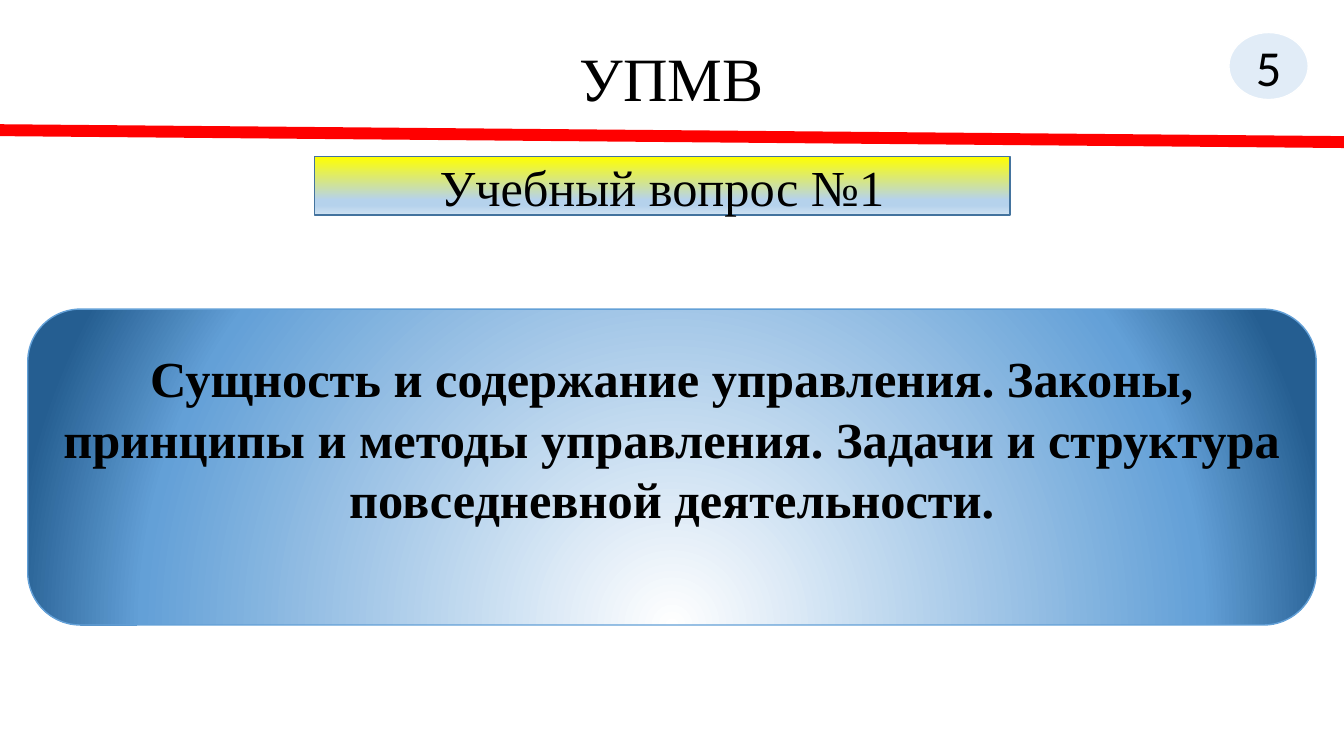
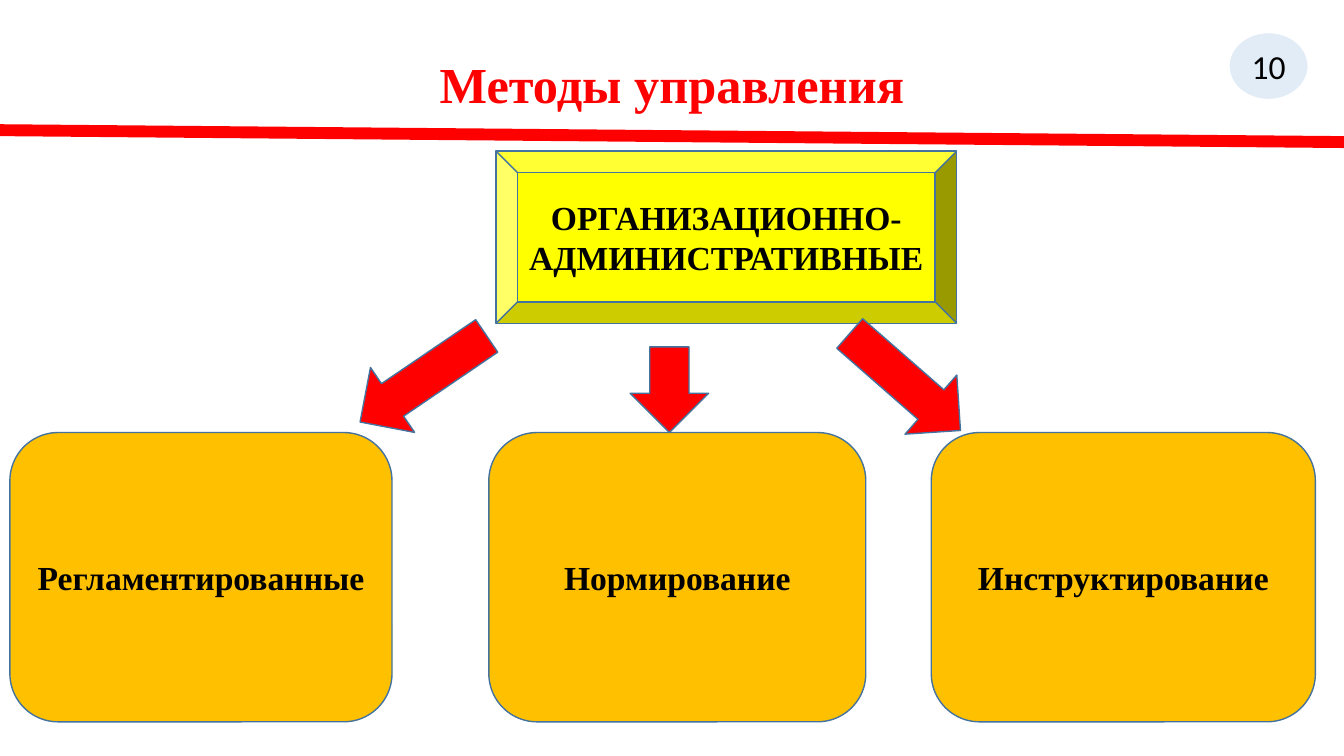
from lxml import etree
from pptx import Presentation
from pptx.dml.color import RGBColor
from pptx.enum import shapes, text
from pptx.oxml import ns
from pptx.util import Cm, Pt

BLACK = RGBColor(0x00, 0x00, 0x00)
WHITE = RGBColor(0xFF, 0xFF, 0xFF)
RED = RGBColor(0xFF, 0x00, 0x00)
YELLOW = RGBColor(0xFF, 0xFF, 0x00)
AMBER = RGBColor(0xFF, 0xC0, 0x00)
BLUE = RGBColor(0x5B, 0x9B, 0xD5)
OUTLINE = RGBColor(0x43, 0x73, 0x9E)
SKY = RGBColor(0x63, 0xA0, 0xD7)
PALE = RGBColor(0xB5, 0xD2, 0xEC)
MIST = RGBColor(0xCE, 0xE1, 0xF2)
NAVY = RGBColor(0x25, 0x5E, 0x91)

SERIF = "Times New Roman"
SANS = "Calibri"
SHAPE = shapes.MSO_SHAPE
WIDTH, HEIGHT = Cm(33.87), Cm(19.05)
PAD = Cm(0.13)


def set_all(target, values):
    for name, value in values.items():
        setattr(target, name, value)


def write(sp, words, size, color=BLACK, bold=False, font=SERIF, spacing=1.0, bottom=PAD):
    tf = sp.text_frame
    set_all(tf, {
        "word_wrap": True, "vertical_anchor": text.MSO_ANCHOR.MIDDLE,
        "margin_left": Cm(0.1), "margin_right": Cm(0.1),
        "margin_top": PAD, "margin_bottom": bottom,
    })
    p = tf.paragraphs[0]
    set_all(p, {"alignment": text.PP_ALIGN.CENTER, "line_spacing": spacing})
    r = p.add_run()
    r.text = words
    set_all(r.font, {"name": font, "size": Pt(size), "bold": bold})
    r.font.color.rgb = color


def add_box(slide, kind, box, fill=None, line=OUTLINE, rotation=0):
    sp = slide.shapes.add_shape(kind, *map(Cm, box))
    sp.shadow.inherit = False
    sp.rotation = rotation
    if fill is None:
        sp.fill.background()
    else:
        sp.fill.solid()
        sp.fill.fore_color.rgb = fill
    sp.line.color.rgb = line
    sp.line.width = Pt(1)
    return sp


def set_alpha(sp, percent):
    color = sp._element.spPr.find(ns.qn("a:solidFill"))[0]
    etree.SubElement(color, ns.qn("a:alpha"), val=str(percent * 1000))


def set_gradient(sp, stops, direction):
    grad = etree.Element(ns.qn("a:gradFill"), rotWithShape="1")
    stop_list = etree.SubElement(grad, ns.qn("a:gsLst"))
    for percent, color in stops:
        stop = etree.SubElement(stop_list, ns.qn("a:gs"), pos=str(percent * 1000))
        etree.SubElement(stop, ns.qn("a:srgbClr"), val=str(color))
    grad.append(direction)
    props = sp._element.spPr
    props.replace(props.find(ns.qn("a:noFill")), grad)


def downward():
    return etree.Element(ns.qn("a:lin"), ang="5400000", scaled="0")


def from_below():
    circle = etree.Element(ns.qn("a:path"), path="circle")
    etree.SubElement(circle, ns.qn("a:fillToRect"),
                     l="50000", t="130000", r="50000", b="-30000")
    return circle


def add_frame(prs, title, number, title_format, number_size):
    slide = prs.slides.add_slide(prs.slide_layouts[6])
    heading = slide.shapes.add_textbox(Cm(2.33), Cm(1.01), Cm(29.21), Cm(3.68))
    line_height = Pt(title_format["size"] * 1.035)
    write(heading, title, spacing=0.9, bottom=PAD + line_height, **title_format)
    rule = slide.shapes.add_connector(
        shapes.MSO_CONNECTOR.STRAIGHT, 0, Cm(3.28), WIDTH, Cm(3.58))
    rule.line.color.rgb = RED
    rule.line.width = Pt(8.5)
    etree.SubElement(rule._element.spPr, ns.qn("a:effectLst"))
    badge = add_box(slide, SHAPE.OVAL, (30.97, 0.82, 2.0, 1.69), BLUE, WHITE)
    set_alpha(badge, 18)
    write(badge, number, number_size, font=SANS)
    return slide


def build_question(prs):
    slide = add_frame(prs, "УПМВ", "5", {"size": 44}, 36)
    label = add_box(slide, SHAPE.RECTANGLE, (7.92, 3.95, 17.53, 1.47))
    set_gradient(label, [(0, YELLOW), (74, PALE), (83, PALE), (100, MIST)], downward())
    write(label, "Учебный вопрос №1", 36)
    topic = add_box(slide, SHAPE.ROUNDED_RECTANGLE, (0.7, 7.79, 32.47, 7.96), line=SKY)
    set_gradient(topic, [(0, WHITE), (80, SKY), (100, NAVY)], from_below())
    write(topic, "Сущность и содержание управления. Законы, принципы и методы "
          "управления. Задачи и структура повседневной деятельности.",
          36, bold=True, bottom=Cm(1.59))


def build_methods(prs):
    slide = add_frame(prs, "Методы управления", "10",
                      {"size": 36, "color": RED, "bold": True}, 24)
    group = add_box(slide, SHAPE.BEVEL, (12.5, 3.81, 11.61, 4.34), YELLOW)
    write(group, "ОРГАНИЗАЦИОННО-АДМИНИСТРАТИВНЫЕ", 24, bold=True)
    methods = [("Регламентированные", 0.25, 9.63), ("Нормирование", 12.32, 9.5),
               ("Инструктирование", 23.47, 9.68)]
    for name, left, width in methods:
        card = add_box(slide, SHAPE.ROUNDED_RECTANGLE, (left, 10.9, width, 7.29), AMBER)
        write(card, name, 24, bold=True)
    arrows = [(15.88, 8.74, 2.16, 0), (9.68, 7.62, 3.86, 55.8), (21.82, 7.77, 3.71, 311.2)]
    for left, top, length, rotation in arrows:
        add_box(slide, SHAPE.DOWN_ARROW, (left, top, 1.98, length), RED, rotation=rotation)


def main():
    prs = Presentation()
    set_all(prs, {"slide_width": WIDTH, "slide_height": HEIGHT})
    build_question(prs)
    build_methods(prs)
    prs.save("out.pptx")


main()
